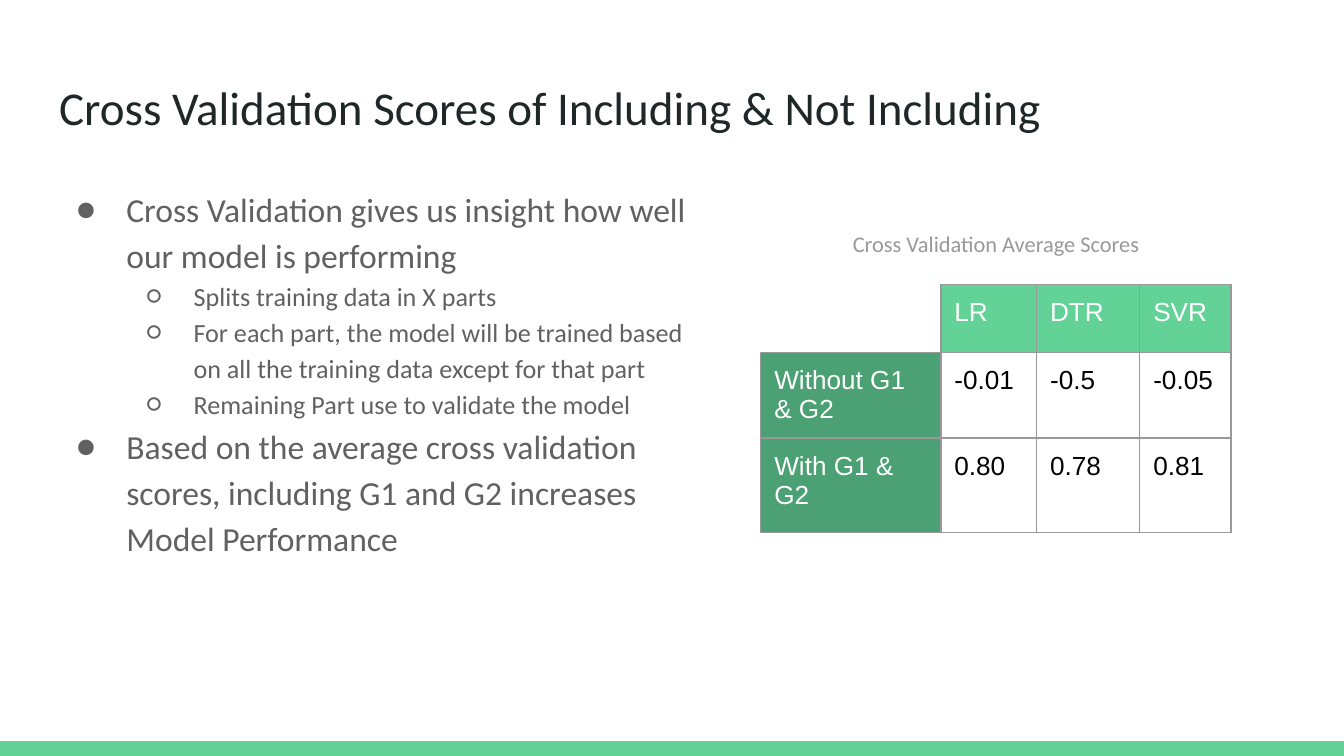
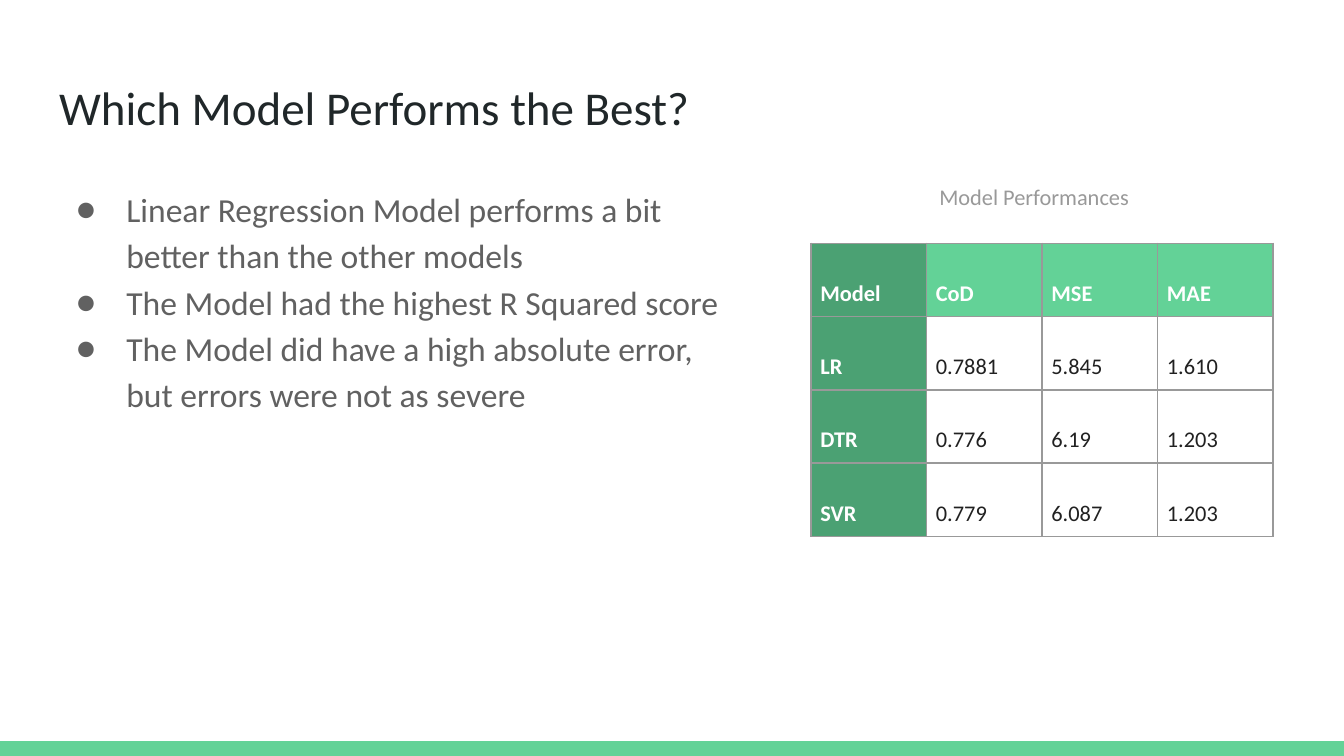
from dataclasses import dataclass

from lxml.etree import SubElement
from pptx import Presentation
from pptx.dml.color import RGBColor as RGB
from pptx.enum.shapes import MSO_SHAPE as Shape
from pptx.enum.text import MSO_ANCHOR as Anchor, MSO_AUTO_SIZE as AutoSize, PP_ALIGN as Align
from pptx.oxml import parse_xml
from pptx.oxml.ns import nsdecls, qn
from pptx.util import Pt


@dataclass(frozen=True)
class Theme:
    font: str = "Calibri"
    plain_font: str = "Arial"
    title: str = "202729"
    body: str = "616161"
    caption: str = "999999"
    rule: str = "999999"
    white: str = "FFFFFF"
    black: str = "000000"
    value: str = "212121"
    green: str = "63D297"
    dark_green: str = "4BA173"
    title_size: float = 25.2
    caption_size: float = 12
    body_sizes: tuple = (18, 14)


T = Theme()
WIDTH, HEIGHT, BAND = 720, 405, 7.9
TITLE_BOX = (24.5, 35.1, 671, 45.1)
BULLETS = (("●", 36, -27), ("○", 72, -25))  # mark, indent, hanging

# Content: bullets are (level, text); an empty first cell leaves the corner open
SLIDES = [
    dict(
        title="Cross Validation Scores of Including & Not Including",
        body_box=(24.5, 90.7, 355.7, 269.3),
        bullets=[
            (0, "Cross Validation gives us insight how well our model is performing"),
            (1, "Splits training data in X parts"),
            (1, "For each part, the model will be trained based on all the training data except for that part"),
            (1, "Remaining Part use to validate the model"),
            (0, "Based on the average cross validation scores, including G1 and G2 increases Model Performance"),
        ],
        caption="Cross Validation Average Scores",
        caption_box=(414.5, 115.9, 238.3, 28.8),
        table=[
            ("", "LR", "DTR", "SVR"),
            ("Without G1 & G2", "-0.01", "-0.5", "-0.05"),
            ("With G1 & G2", "0.80", "0.78", "0.81"),
        ],
        table_at=(407.6, 152.4),
        cols=(96.5, 51.3, 55.3, 48.8),
        rows=(31.7, 39.6, 50.4),
        look=dict(size=14, font=T.plain_font, value=T.black, bold=False,
                  margin=7.2, spacing=1.0, border=0.75),
    ),
    dict(
        title="Which Model Performs the Best?",
        body_box=(24.5, 90.7, 376.6, 269.3),
        bullets=[
            (0, "Linear Regression Model performs a bit better than the other models"),
            (0, "The Model had the highest R Squared score"),
            (0, "The Model did have a high absolute error, but errors were not as severe"),
        ],
        caption="Model Performances",
        caption_box=(434.9, 90.7, 238.3, 28.8),
        table=[
            ("Model", "CoD", "MSE", "MAE"),
            ("LR", "0.7881", "5.845", "1.610"),
            ("DTR", "0.776", "6.19", "1.203"),
            ("SVR", "0.779", "6.087", "1.203"),
        ],
        table_at=(434.5, 130.4),
        cols=(61.9,) * 4,
        rows=(33.1, 31.7, 30.2, 7.9),
        look=dict(size=12, font=T.font, value=T.value, bold=True,
                  margin=5, spacing=2.0, border=1),
    ),
]


# Shared helpers
def assign(obj, **values):
    for name, value in values.items():
        setattr(obj, name, value)


def place(sp, box):
    assign(sp, **dict(zip(("left", "top", "width", "height"), map(Pt, box))))


def margins(obj, size):
    assign(obj, **{f"margin_{side}": Pt(size) for side in ("left", "top", "right", "bottom")})


def frame(sp, box):
    place(sp, box)
    tf = sp.text_frame
    margins(tf, 7.2)
    assign(tf, word_wrap=True, auto_size=AutoSize.NONE, vertical_anchor=Anchor.TOP)
    return tf


def write(p, text, size, color, font=T.font, bold=False, align=Align.LEFT, spacing=1.0):
    assign(p, alignment=align, line_spacing=spacing, space_before=Pt(0), space_after=Pt(0))
    r = p.add_run()
    r.text = text
    assign(r.font, size=Pt(size), name=font, bold=bold)
    r.font.color.rgb = RGB.from_string(color)


def bullet(p, level):
    mark, indent, hanging = BULLETS[level]
    p.level = level
    pPr = p._p.get_or_add_pPr()
    pPr.set("marL", str(Pt(indent)))
    pPr.set("indent", str(Pt(hanging)))
    SubElement(SubElement(pPr, qn("a:buClr")), qn("a:srgbClr"), val=T.body)
    SubElement(pPr, qn("a:buFont"), typeface=T.font)
    SubElement(pPr, qn("a:buChar"), char=mark)


def borders(cell, width, colors):
    tcPr = cell._tc.get_or_add_tcPr()
    for i, (side, color) in enumerate(zip("LRTB", colors)):
        tcPr.insert(i, parse_xml(
            f'<a:ln{side} {nsdecls("a")} w="{Pt(width)}"><a:solidFill>'
            f'<a:srgbClr val="{color}"/></a:solidFill></a:ln{side}>'))


def add_scores(s, data, at, cols, rows, look):
    shape = s.shapes.add_table(len(rows), len(cols), *map(Pt, (*at, sum(cols), sum(rows))))
    table = shape.table
    assign(table, first_row=False, horz_banding=False)
    for col, width in zip(table.columns, cols):
        col.width = Pt(width)
    for row, height in zip(table.rows, rows):
        row.height = Pt(height)
    for i, values in enumerate(data):
        for j, text in enumerate(values):
            cell = table.cell(i, j)
            margins(cell, look["margin"])
            header = i == 0 or j == 0
            if header and text:
                cell.fill.solid()
                cell.fill.fore_color.rgb = RGB.from_string(T.green if j else T.dark_green)
            else:
                cell.fill.background()
            if text:
                write(cell.text_frame.paragraphs[0], text, look["size"],
                      T.white if header else look["value"], look["font"],
                      bold=header and look["bold"], spacing=look["spacing"])
            outer = T.rule if text else T.white
            borders(cell, look["border"], (outer, T.rule, outer, T.rule))


def add_band(prs, s):
    """Draw the bottom band and move it to the master, so every slide shows it."""
    band = s.shapes.add_shape(Shape.RECTANGLE, *map(Pt, (0, HEIGHT - BAND, WIDTH, BAND)))
    band.shadow.inherit = False
    band.fill.solid()
    band.fill.fore_color.rgb = RGB.from_string(T.green)
    band.line.fill.background()
    prs.slide_master.shapes.element.append(band.element)


def build_slide(prs, c):
    s = prs.slides.add_slide(prs.slide_layouts[1])

    # Title and bullets
    title, body = s.placeholders
    write(frame(title, TITLE_BOX).paragraphs[0], c["title"], T.title_size, T.title)
    tf = frame(body, c["body_box"])
    for i, (level, text) in enumerate(c["bullets"]):
        p = tf.add_paragraph() if i else tf.paragraphs[0]
        write(p, text, T.body_sizes[level], T.body, spacing=1.15)
        bullet(p, level)

    # Table with its caption
    add_scores(s, c["table"], c["table_at"], c["cols"], c["rows"], c["look"])
    tf = frame(s.shapes.add_textbox(0, 0, 0, 0), c["caption_box"])
    write(tf.paragraphs[0], c["caption"], T.caption_size, T.caption, align=Align.CENTER)
    return s


def main():
    prs = Presentation()
    assign(prs, slide_width=Pt(WIDTH), slide_height=Pt(HEIGHT))
    slides = [build_slide(prs, content) for content in SLIDES]
    add_band(prs, slides[0])
    prs.save("out.pptx")


if __name__ == "__main__":
    main()
